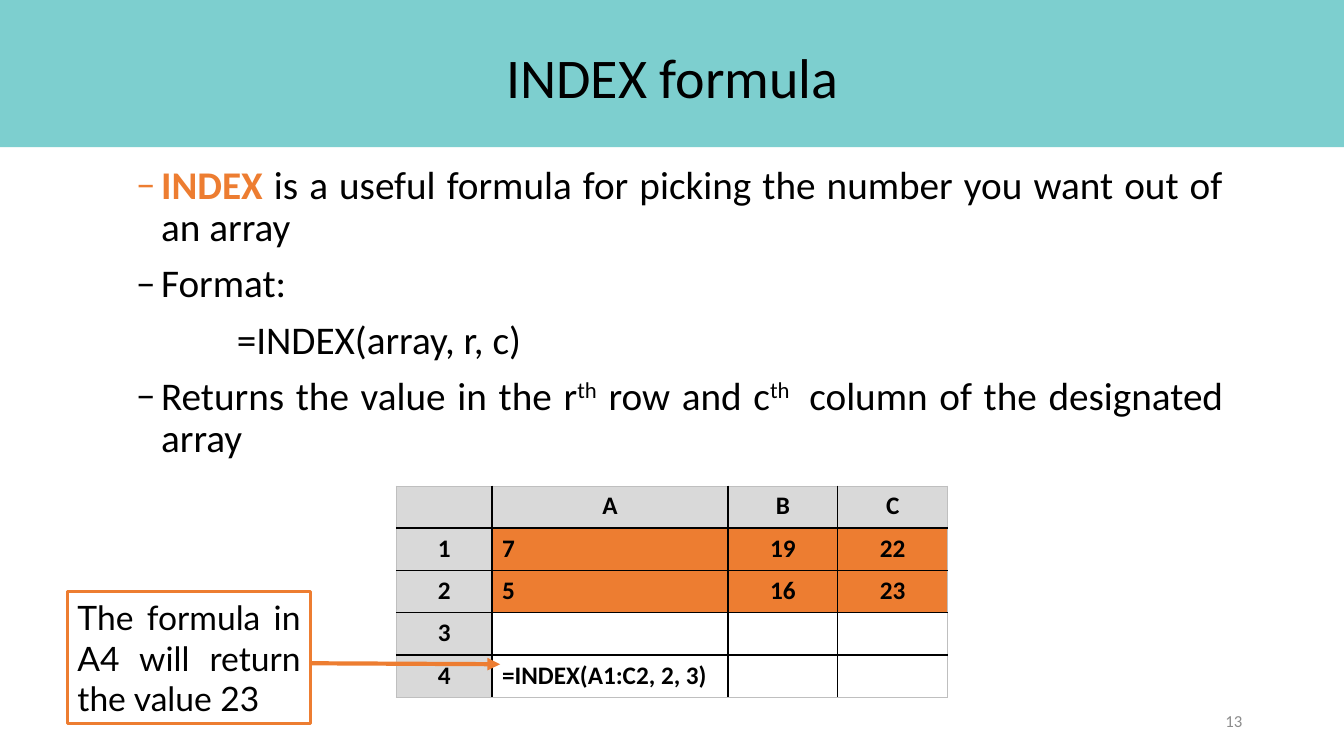
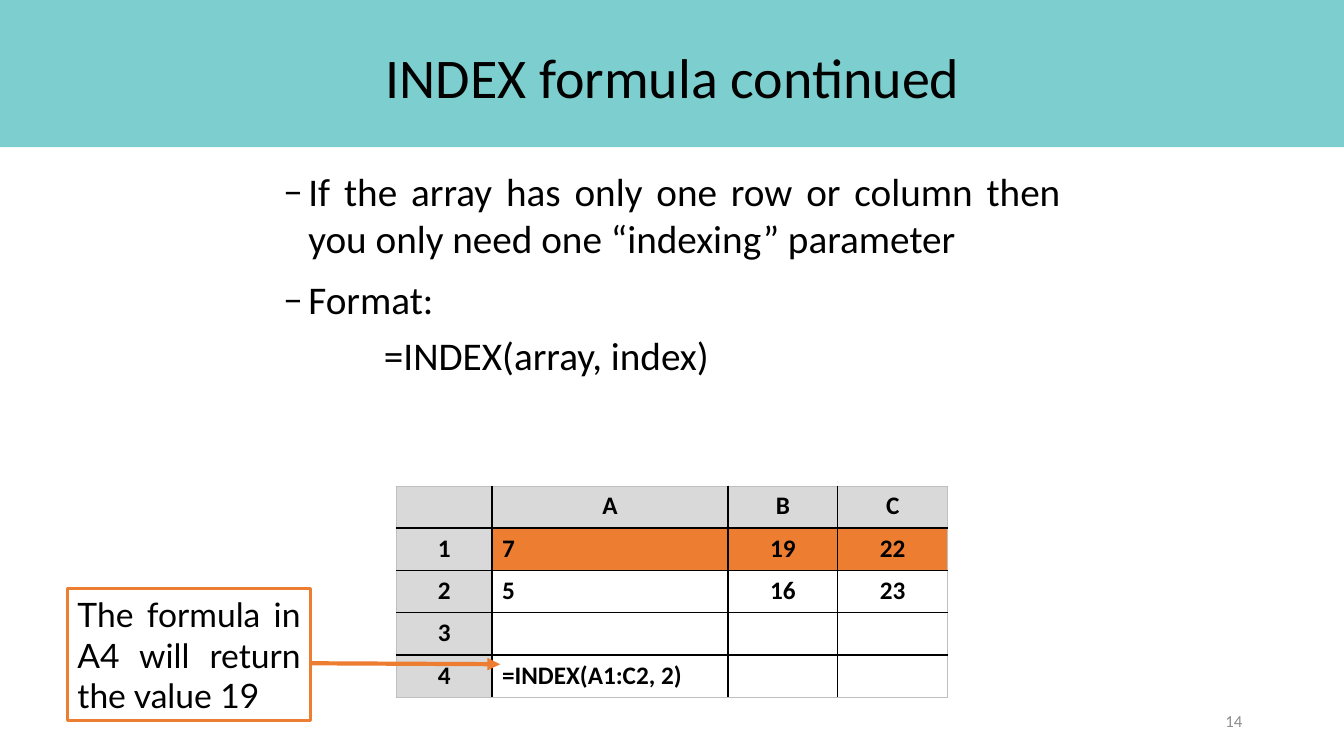
from dataclasses import dataclass
from typing import NamedTuple

from lxml.etree import SubElement
from pptx import Presentation
from pptx.dml.color import RGBColor
from pptx.enum.shapes import MSO_CONNECTOR, MSO_SHAPE
from pptx.enum.text import MSO_ANCHOR, MSO_AUTO_SIZE, PP_ALIGN
from pptx.oxml.ns import qn
from pptx.util import Emu, Pt

EMU_PER_PX = 9144  # 100 px to the inch
COLORS = {
    "band": "7DCFCF",
    "accent": "ED7D31",
    "header": "D9D9D9",
    "edge": "BFBFBF",
    "number": "8C8C8C",
    "text": "000000",
    "paper": "FFFFFF",
}
FONT = "Calibri"
CALLOUT_FONT = "Lato"
TITLE_ONLY = 5

COLUMN_WIDTHS = (95, 234, 109, 109)
ROW_HEIGHT = 42


class Area(NamedTuple):
    left: int
    top: int
    width: int
    height: int

    def emu(self) -> list[Emu]:
        return [px(length) for length in self]


class Span(NamedTuple):
    text: str
    color: str = "text"
    bold: bool = False
    raised: bool = False


class Point(NamedTuple):
    spans: tuple[Span, ...]
    bulleted: bool = True
    line_spacing: float = 0.9
    align: PP_ALIGN = PP_ALIGN.JUSTIFY


@dataclass(frozen=True)
class Lesson:
    title: str
    number: int
    body: Area
    points: tuple[Point, ...]
    formula: str
    array_rows: int  # number of data rows shaded as the array
    callout: str
    callout_top: int


LESSONS = (
    Lesson(
        title="INDEX formula",
        number=13,
        body=Area(125, 159, 1098, 323),
        points=(
            Point((
                Span("INDEX", color="accent", bold=True),
                Span(" is a useful formula for picking the number you want out of an array"),
            )),
            Point((Span("Format:"),)),
            Point((Span("=INDEX(array, r, c)"),), bulleted=False),
            Point((
                Span("Returns the value in the r"),
                Span("th", raised=True),
                Span(" row and c"),
                Span("th ", raised=True),
                Span(" column of the designated array"),
            )),
        ),
        formula="=INDEX(A1:C2, 2, 3)",
        array_rows=2,
        callout="The formula in A4 will return the value 23",
        callout_top=587,
    ),
    Lesson(
        title="INDEX formula continued",
        number=14,
        body=Area(271, 161, 791, 225),
        points=(
            Point(
                (Span("If the array has only one row or column then "
                      "you only need one “indexing” parameter"),),
                line_spacing=1.0,
            ),
            Point((Span("Format:"),), line_spacing=1.0),
            Point((Span("=INDEX(array, index)"),), bulleted=False, align=PP_ALIGN.LEFT),
        ),
        formula="=INDEX(A1:C2, 2)",
        array_rows=1,
        callout="The formula in A4 will return the value 19",
        callout_top=584,
    ),
)


def px(length: int) -> Emu:
    return Emu(length * EMU_PER_PX)


def rgb(name: str) -> RGBColor:
    return RGBColor.from_string(COLORS[name])


def paint(fill, color: str) -> None:
    fill.solid()
    fill.fore_color.rgb = rgb(color)


def add_span(para, span: Span, size: int, font: str = FONT) -> None:
    run = para.add_run()
    run.text = span.text
    run.font.name = font
    run.font.size = Pt(size)
    run.font.bold = span.bold
    run.font.color.rgb = rgb(span.color)
    if span.raised:
        run._r.get_or_add_rPr().set("baseline", "30000")


def add_band(page) -> None:
    """Put the coloured strip behind the title."""
    band = page.shapes.add_shape(MSO_SHAPE.RECTANGLE, *Area(0, 0, 1333, 146).emu())
    band.shadow.inherit = False
    paint(band.fill, "band")
    band.line.fill.background()
    page.shapes._spTree.insert(2, band._element)


def set_title(page, text: str) -> None:
    title = page.shapes.title
    title.left, title.top, title.width, title.height = Area(92, 41, 1150, 77).emu()
    frame = title.text_frame
    frame.word_wrap = True
    frame.auto_size = MSO_AUTO_SIZE.NONE
    frame.vertical_anchor = MSO_ANCHOR.MIDDLE
    para = frame.paragraphs[0]
    para.alignment = PP_ALIGN.CENTER
    para.line_spacing = 0.9
    add_span(para, Span(text), 40)


def indent(para, margin: int, first_line: int) -> None:
    properties = para._p.get_or_add_pPr()
    properties.set("marL", str(px(margin)))
    properties.set("indent", str(px(first_line)))


def add_bullet(para) -> None:
    properties = para._p.get_or_add_pPr()
    SubElement(properties, qn("a:buFont"), typeface=FONT)
    SubElement(properties, qn("a:buChar"), char="‒")


def add_body(page, area: Area, points: tuple[Point, ...]) -> None:
    frame = page.shapes.add_textbox(*area.emu()).text_frame
    frame.word_wrap = True
    for index, point in enumerate(points):
        para = frame.add_paragraph() if index else frame.paragraphs[0]
        para.alignment = point.align
        para.line_spacing = point.line_spacing
        para.space_before = Pt(10)
        if point.bulleted:
            indent(para, 25, -31)
            add_bullet(para)
        else:
            indent(para, 100, 0)
        for span in point.spans:
            add_span(para, span, 28)


def add_number(page, number: int) -> None:
    frame = page.shapes.add_textbox(*Area(942, 695, 300, 40).emu()).text_frame
    frame.word_wrap = True
    frame.vertical_anchor = MSO_ANCHOR.MIDDLE
    para = frame.paragraphs[0]
    para.alignment = PP_ALIGN.RIGHT
    add_span(para, Span(str(number), color="number"), 12)


def add_border(cell, side: str, color: str, points: float) -> None:
    """Draw one side of a cell; side is L, R, T or B."""
    properties = cell._tc.get_or_add_tcPr()
    line = SubElement(properties, qn(f"a:ln{side}"), w=str(Pt(points)))
    fill = SubElement(line, qn("a:solidFill"))
    SubElement(fill, qn("a:srgbClr"), val=COLORS[color])


def add_sheet(page, formula: str, array_rows: int) -> None:
    """Draw the worksheet with its array shaded."""
    values = (
        ("", "A", "B", "C"),
        ("1", "7", "19", "22"),
        ("2", "5", "16", "23"),
        ("3", "", "", ""),
        ("4", formula, "", ""),
    )
    last_row, last_column = len(values) - 1, len(COLUMN_WIDTHS) - 1
    area = Area(393, 482, sum(COLUMN_WIDTHS), ROW_HEIGHT * len(values))
    table = page.shapes.add_table(len(values), len(COLUMN_WIDTHS), *area.emu()).table
    table.first_row = table.horz_banding = False
    for column, width in zip(table.columns, COLUMN_WIDTHS):
        column.width = px(width)
    for row_index, texts in enumerate(values):
        table.rows[row_index].height = px(ROW_HEIGHT)
        for column_index, text in enumerate(texts):
            cell = table.cell(row_index, column_index)
            outer_sides = {
                "L": column_index == 0,
                "R": column_index == last_column,
                "T": row_index == 0,
                "B": row_index == last_row,
            }
            for side, outer in outer_sides.items():
                under_header = (row_index, side) in ((0, "B"), (1, "T"))
                width = 0.5 if outer else 1.5 if under_header else 1
                add_border(cell, side, "edge" if outer else "text", width)
            is_header = row_index == 0 or column_index == 0
            in_array = row_index <= array_rows
            paint(cell.fill, "header" if is_header else "accent" if in_array else "paper")
            para = cell.text_frame.paragraphs[0]
            is_left = column_index == 1 and row_index > 0
            para.alignment = PP_ALIGN.LEFT if is_left else PP_ALIGN.CENTER
            if text:
                add_span(para, Span(text, bold=True), 18)
            else:
                para.font.size = Pt(18)


def add_callout(page, text: str, top: int) -> None:
    """Group the note with its arrow to cell A4."""
    shapes = page.shapes.add_group_shape().shapes
    arrow = shapes.add_connector(MSO_CONNECTOR.STRAIGHT, px(307), px(658), px(496), px(659))
    arrow.line.color.rgb = rgb("accent")
    arrow.line.width = Pt(3)
    SubElement(arrow.line._get_or_add_ln(), qn("a:tailEnd"), type="triangle")
    SubElement(arrow._element.spPr, qn("a:effectLst"))

    box = shapes.add_shape(MSO_SHAPE.RECTANGLE, *Area(67, top, 241, 131).emu())
    box.shadow.inherit = False
    paint(box.fill, "paper")
    box.line.color.rgb = rgb("accent")
    box.line.width = Pt(2.25)
    frame = box.text_frame
    frame.word_wrap = True
    frame.auto_size = MSO_AUTO_SIZE.SHAPE_TO_FIT_TEXT
    frame.vertical_anchor = MSO_ANCHOR.MIDDLE
    para = frame.paragraphs[0]
    para.alignment = PP_ALIGN.JUSTIFY
    add_span(para, Span(text), 24, CALLOUT_FONT)


def add_lesson(deck, lesson: Lesson) -> None:
    page = deck.slides.add_slide(deck.slide_layouts[TITLE_ONLY])
    add_band(page)
    set_title(page, lesson.title)
    add_body(page, lesson.body, lesson.points)
    add_number(page, lesson.number)
    add_sheet(page, lesson.formula, lesson.array_rows)
    add_callout(page, lesson.callout, lesson.callout_top)


def main() -> None:
    deck = Presentation()
    deck.slide_width, deck.slide_height = px(1333), px(750)
    for lesson in LESSONS:
        add_lesson(deck, lesson)
    deck.save("out.pptx")


if __name__ == "__main__":
    main()
